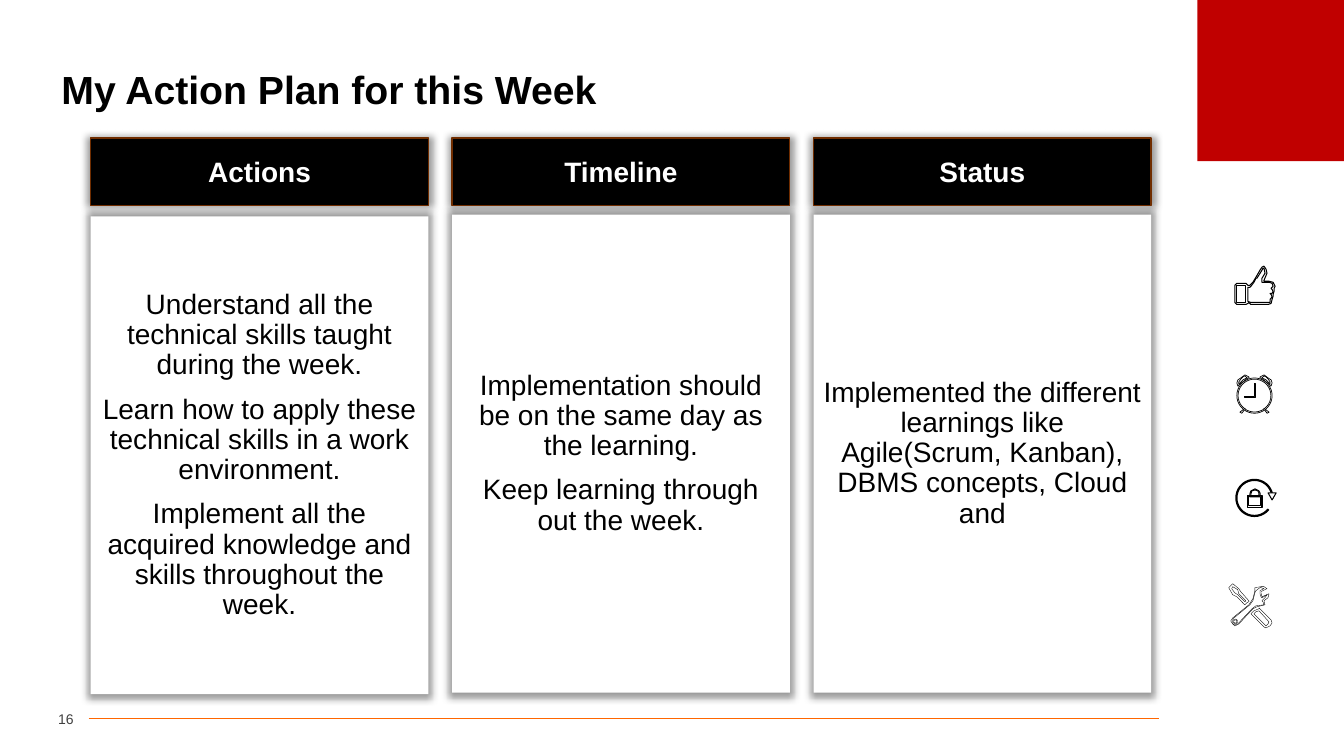
from dataclasses import dataclass
from math import cos, radians, sin

from lxml import etree
from pptx import Presentation
from pptx import util as u
from pptx.dml.color import RGBColor
from pptx.enum import shapes, text
from pptx.oxml.ns import qn

Pt = u.Pt
Points = list[tuple[float, float]]

BLACK = RGBColor(0x00, 0x00, 0x00)
WHITE = RGBColor(0xFF, 0xFF, 0xFF)
RED = RGBColor(0xC0, 0x00, 0x00)
ORANGE = RGBColor(0xFF, 0x66, 0x00)
BROWN = RGBColor(0x70, 0x2D, 0x00)
GREY = RGBColor(0x40, 0x40, 0x40)
FONT = "Arial"
GRID = 0.72
PITCH = 258.15


@dataclass
class Card:
    head: str
    lines: list[str]
    top: float = 153.4


@dataclass
class Icon:
    left: float
    top: float
    width: float
    pieces: list[list[Points]]


def arc(x: float, y: float, size: float, start: int = 0, end: int = 350) -> Points:
    step = 10 if end > start else -10
    turns = [radians(a) for a in range(start, end + step, step)]
    return [(x + size * cos(a), y + size * sin(a)) for a in turns]


def flip(piece: list[Points]) -> list[Points]:
    return [[(91 - x, y) for x, y in loop] for loop in piece]


def box(left: float, top: float, right: float, base: float) -> Points:
    return [(left, top), (right, top), (right, base), (left, base)]


def style(para, size: float, color: RGBColor, bold: bool = False) -> None:
    for run in para.runs:
        run.font.name = FONT
        run.font.size = Pt(size)
        run.font.bold = bold
        run.font.color.rgb = color


def paint(shape, fill: RGBColor, line: RGBColor | None = None, width: float = 1) -> None:
    shape.shadow.inherit = False
    shape.fill.solid()
    shape.fill.fore_color.rgb = fill
    if line is None:
        shape.line.fill.background()
    else:
        shape.line.color.rgb = line
        shape.line.width = Pt(width)


def glow(shape) -> None:
    effects = shape.element.spPr.find(qn("a:effectLst"))
    shadow = etree.SubElement(effects, qn("a:outerShdw"), blurRad=str(Pt(5)),
                              sx="102000", sy="102000", algn="ctr", rotWithShape="0")
    color = etree.SubElement(shadow, qn("a:srgbClr"), val=str(BLACK))
    etree.SubElement(color, qn("a:alpha"), val="40000")


def block(slide, kind, left: float, top: float, width: float, height: float):
    return slide.shapes.add_shape(kind, Pt(left), Pt(top), Pt(width), Pt(height))


def panel(slide, left: float, top: float, height: float, lines: list[str], head: bool) -> None:
    shape = block(slide, shapes.MSO_SHAPE.RECTANGLE, left, top, 241.2, height)
    paint(shape, BLACK if head else WHITE, BROWN if head else None)
    glow(shape)
    frame = shape.text_frame
    frame.word_wrap = True
    frame.vertical_anchor = text.MSO_ANCHOR.MIDDLE
    frame.text = "\n".join(lines)
    for para in frame.paragraphs:
        para.alignment = text.PP_ALIGN.CENTER
        if not head:
            para.line_spacing = 0.9
            para.space_before = Pt(10)
        style(para, 20, WHITE if head else BLACK, head)


def sketch(slide, icon: Icon) -> None:
    disc = block(slide, shapes.MSO_SHAPE.OVAL, icon.left, icon.top, 64.8, 64.8)
    paint(disc, WHITE)
    for piece in icon.pieces:
        loops = [[(Pt(icon.left + GRID * x), Pt(icon.top + GRID * y)) for x, y in loop]
                 for loop in piece]
        pen = slide.shapes.build_freeform(*loops[0][0], scale=1.0)
        pen.add_line_segments(loops[0][1:], close=True)
        for loop in loops[1:]:
            pen.move_to(*loop[0])
            pen.add_line_segments(loop[1:], close=True)
        paint(pen.convert_to_shape(), WHITE, BLACK, icon.width)


THUMB = [[
    [(65, 43), (66, 41), (64, 37), (60, 36), (55, 36), (55, 35), (58, 28), (57, 24), (55, 21),
     (53, 22), (51, 25), (47, 32), (44, 37), (41, 40), (39, 40), (37, 38), (28, 38), (26, 40),
     (26, 57), (28, 59), (37, 59), (39, 58), (40, 57), (42, 59), (59, 59), (62, 58), (63, 54),
     (64, 51), (64, 49), (65, 46)],
    box(28, 40, 37, 57),
    [(63, 42), (62, 43), (63, 44), (64, 46), (63, 48), (61, 48), (62, 49), (63, 51), (62, 53),
     (61, 54), (61, 57), (59, 57), (42, 57), (39, 56), (39, 42), (41, 42), (42, 41), (45, 37),
     (47, 33), (48, 33), (53, 25), (54, 23), (55, 23), (56, 28), (53, 33), (53, 37), (60, 37),
     (63, 38), (64, 41)],
]]

BELL = [
    [(61, 36), (61, 35), (52, 28), (51, 28), (51, 27), (55, 25), (59, 28), (62, 30), (63, 33),
     (62, 36)],
    [(53, 28), (57, 30), (61, 34), (61, 32), (59, 29), (57, 27), (55, 26)],
]
LEG = [[(58, 63), (55, 59), (55, 58), (60, 62)]]
HANDS = [[(46, 47), (35, 47), (35, 46), (45, 46), (45, 33), (46, 33)]]
DIAL = [arc(45.5, 45.5, 17.5), arc(45.5, 45.5, 16.3)]
CLOCK = [BELL, flip(BELL), LEG, flip(LEG), DIAL, HANDS]

LOCK = [
    [arc(45.5, 45, 18.5, 0, -320) + arc(45.5, 45, 17.3, -320, 0)],
    [[(59, 40), (63, 47), (67, 40)]],
    [[(41, 44), (41, 41), (42, 38), (46, 36), (50, 38), (51, 40), (51, 44)],
     [(42, 43), (42, 41), (43, 38), (46, 37), (49, 38), (50, 40), (50, 43)]],
    [box(39, 43, 53, 54), box(40, 44, 52, 52)],
]

GRIP = [
    [(60, 68), (58, 67), (45, 54), (48, 51), (53, 49), (53, 48), (65, 60), (66, 63), (64, 66),
     (62, 67)],
    [(60, 66), (62, 64), (63, 62), (53, 51), (50, 52), (48, 54)],
]
BLADE = [
    [(39, 45), (31, 37), (27, 35), (23, 28), (27, 24), (33, 29), (35, 32), (43, 41), (43, 42),
     (41, 43)],
    [(29, 33), (32, 35), (39, 42), (40, 41), (33, 34), (32, 30), (27, 27), (26, 29)],
]
WRENCH = [
    [(55, 27), (49, 28), (49, 31), (47, 39), (43, 45), (27, 58), (25, 61), (27, 64), (29, 66),
     (33, 64), (47, 49), (51, 47), (59, 45), (58, 41), (62, 38), (63, 34), (56, 37), (55, 33),
     (55, 32), (61, 29), (58, 27)],
    [(55, 28), (58, 29), (54, 31), (54, 34), (55, 37), (56, 38), (61, 35), (59, 38), (56, 41),
     (57, 42), (58, 45), (50, 46), (46, 49), (32, 64), (29, 65), (27, 64), (27, 59), (44, 45),
     (47, 41), (49, 33), (50, 31), (54, 28)],
    arc(29.5, 61.5, 2.3),
    arc(29.5, 61.5, 1.5),
]

ICONS = [
    Icon(863.3, 175, 0.75, THUMB),
    Icon(863.3, 249.8, 0.5, CLOCK),
    Icon(863.3, 323.3, 0.75, LOCK),
    Icon(861.1, 399.6, 0.25, [GRIP, BLADE, WRENCH]),
]

CARDS = [
    Card("Actions", ["Understand all the technical skills taught during the week.",
                     "Learn how to apply these technical skills in a work environment.",
                     "Implement all the acquired knowledge and skills throughout the week."], 154.6),
    Card("Timeline", ["Implementation should be on the same day as the learning.",
                      "Keep learning through out the week."]),
    Card("Status", ["Implemented the different learnings like Agile(Scrum, Kanban), "
                    "DBMS concepts, Cloud and"]),
]


def main() -> None:
    deck = Presentation()
    deck.slide_width, deck.slide_height = Pt(960), Pt(540)
    slide = deck.slides.add_slide(deck.slide_layouts[5])

    title = slide.shapes.title
    title.left, title.top, title.width, title.height = Pt(36.7), Pt(37.4), Pt(886.3), Pt(56.2)
    frame = title.text_frame
    frame.text = "My Action Plan for this Week"
    frame.auto_size = text.MSO_AUTO_SIZE.NONE
    frame.vertical_anchor = text.MSO_ANCHOR.MIDDLE
    para = frame.paragraphs[0]
    para.alignment = text.PP_ALIGN.LEFT
    para.line_spacing = 0.9
    style(para, 28, BLACK, True)

    rule = slide.shapes.add_connector(shapes.MSO_CONNECTOR.STRAIGHT,
                                      Pt(63.4), Pt(513.2), Pt(828), Pt(513.2))
    rule.line.color.rgb = ORANGE
    rule.line.width = Pt(0.5)
    etree.SubElement(rule.element.spPr, qn("a:effectLst"))

    paint(block(slide, shapes.MSO_SHAPE.RECTANGLE, 855.2, 0, 104.8, 115.2), RED)

    number = slide.shapes.add_textbox(Pt(23.8), Pt(503.3), Pt(28.8), Pt(20.9)).text_frame
    number.margin_left = number.margin_right = Pt(0)
    number.word_wrap = True
    number.vertical_anchor = text.MSO_ANCHOR.MIDDLE
    number.text = "16"
    number.paragraphs[0].alignment = text.PP_ALIGN.RIGHT
    style(number.paragraphs[0], 10, GREY)

    for i, card in enumerate(CARDS):
        panel(slide, 64.8 + i * PITCH, card.top, 341.3, card.lines, False)
    for i, card in enumerate(CARDS):
        panel(slide, 64.8 + i * PITCH, 98.6, 48.2, [card.head], True)
    for icon in ICONS:
        sketch(slide, icon)

    deck.save("out.pptx")


if __name__ == "__main__":
    main()
